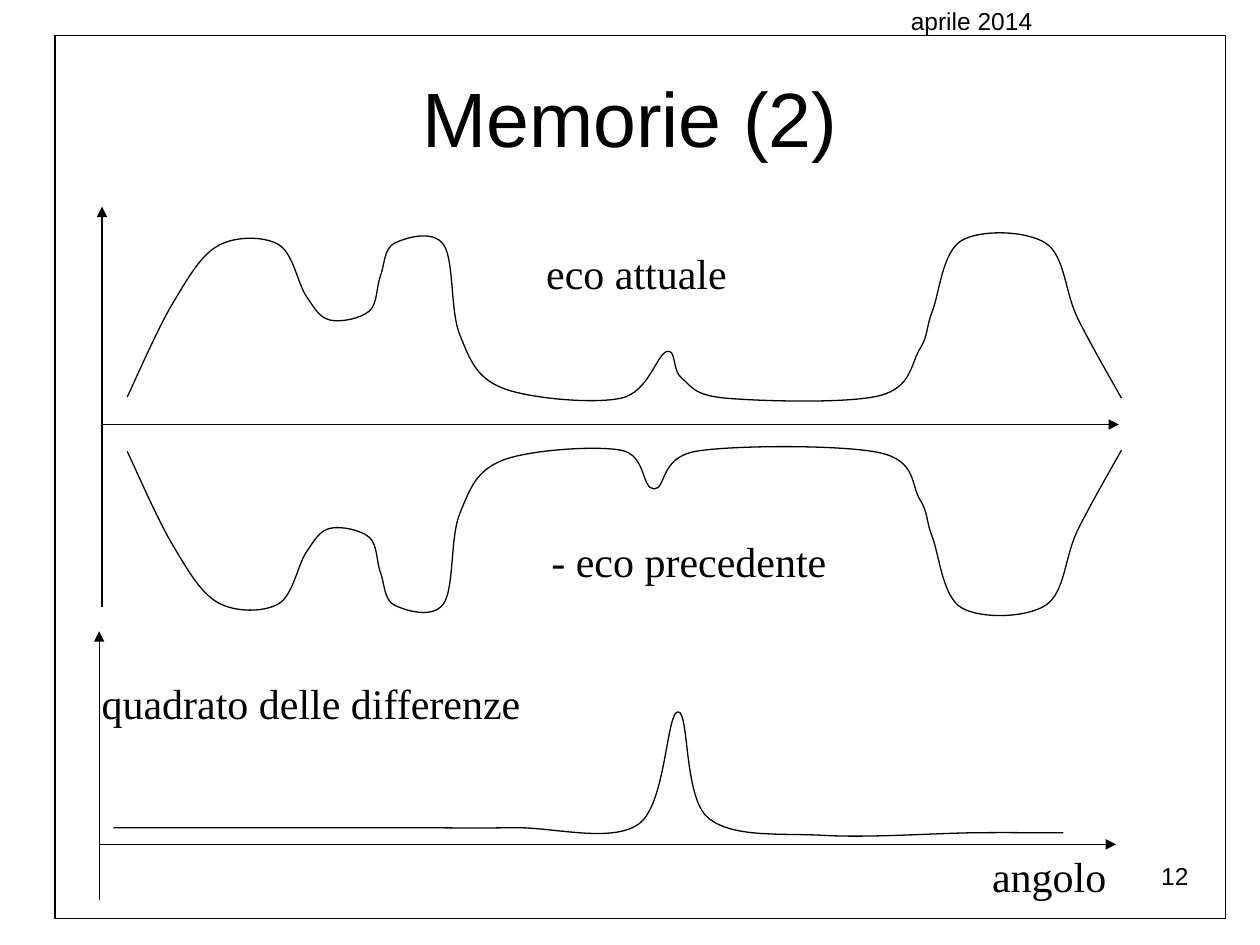
from dataclasses import dataclass

from lxml import etree
from pptx import Presentation
from pptx.dml.color import RGBColor
from pptx.enum.shapes import MSO_CONNECTOR, MSO_SHAPE
from pptx.enum.text import MSO_ANCHOR, PP_ALIGN
from pptx.oxml.ns import qn
from pptx.util import Pt

STRAIGHT = MSO_CONNECTOR.STRAIGHT
RECTANGLE = MSO_SHAPE.RECTANGLE
MIDDLE = MSO_ANCHOR.MIDDLE
LEFT, CENTER, RIGHT = PP_ALIGN.LEFT, PP_ALIGN.CENTER, PP_ALIGN.RIGHT


@dataclass(frozen=True)
class Theme:
    """Colours, fonts and sizes of the slide."""
    ink: RGBColor = RGBColor(0, 0, 0)
    sans: str = "Arial"
    serif: str = "Times New Roman"
    title: int = 44
    label: int = 24
    small: int = 14
    line: float = 0.75
    inset: float = 7.2


T = Theme()
MIRROR_SUM = 484.8

ECHO_START = [(72.7, 226.8), (98.6, 173.5), (124.6, 140.4), (159.1, 139.7),
              (175, 169.2), (188.6, 182.9), (211, 177.8), (217.4, 157.7),
              (225.4, 139), (253.4, 139.7), (262.8, 191.5), (287.3, 221.8),
              (355, 227.5)]
ECHO_END = [(502.6, 226.1), (525.6, 199.4), (532.8, 177.8), (549.4, 137.5),
            (597.6, 139), (615.6, 181.4), (640.8, 227.5)]
CURRENT_BLIP = [(380.9, 200.9), (389.5, 216), (414.7, 227.5)]
PREVIOUS_BLIP = [(373.7, 205.4), (398.2, 227)]
SQUARED = [(64.8, 473), (93.6, 473), (155.5, 473), (229.7, 473), (293.8, 473),
           (365, 470.9), (387.4, 406.8), (404.6, 467.3), (471.6, 477.4),
           (555.8, 475.9), (594, 475.9), (607.7, 475.9)]


def write(tf, text, size, font, align=LEFT):
    """Put one formatted run into a text frame."""
    tf.word_wrap = True
    p = tf.paragraphs[0]
    p.alignment = align
    r = p.add_run()
    r.text = text
    r.font.size = Pt(size)
    r.font.name = font
    r.font.color.rgb = T.ink


def place(shape, x, y, w, h):
    """Move and size a shape."""
    shape.left, shape.top, shape.width, shape.height = map(Pt, (x, y, w, h))


def add_title(s, text, box):
    """Fill the title placeholder."""
    place(s.shapes.title, *box)
    tf = s.shapes.title.text_frame
    tf.vertical_anchor = MIDDLE
    write(tf, text, T.title, T.sans, CENTER)


def add_label(s, text, box, size=T.label, font=T.serif, align=LEFT, inset=T.inset):
    """Add a text box with one line of text."""
    tf = s.shapes.add_textbox(*map(Pt, box)).text_frame
    tf.margin_left = Pt(inset)
    write(tf, text, size, font, align)


def outline(shape):
    """Leave only a thin line on a shape."""
    shape.shadow.inherit = False
    shape.fill.background()
    shape.line.color.rgb = T.ink
    shape.line.width = Pt(T.line)


def add_frame(s, box):
    """Draw the border of the slide."""
    outline(s.shapes.add_shape(RECTANGLE, *map(Pt, box)))


def add_axis(s, start, end, arrow="a:tailEnd"):
    """Draw an axis with an arrowhead at its end, or its start for a:headEnd."""
    c = s.shapes.add_connector(STRAIGHT, *map(Pt, start + end))
    c.line.color.rgb = T.ink
    c.line.width = Pt(T.line)
    sp_pr = c._element.spPr
    etree.SubElement(sp_pr.find(qn("a:ln")), qn(arrow), type="triangle")
    etree.SubElement(sp_pr, qn("a:effectLst"))


def bezier_points(knots):
    """Return two control points and an end point for each pair of knots."""
    padded = [knots[0], *knots, knots[-1]]
    points = []
    for a, b, c, d in zip(padded, padded[1:], padded[2:], padded[3:]):
        points += [(b[0] + (c[0] - a[0]) / 6, b[1] + (c[1] - a[1]) / 6),
                   (c[0] - (d[0] - b[0]) / 6, c[1] - (d[1] - b[1]) / 6), c]
    return points


def add_curve(s, knots):
    """Draw a smooth open curve of Bézier segments through the knots."""
    start, *rest = [(Pt(x), Pt(y)) for x, y in [knots[0], *bezier_points(knots)]]
    builder = s.shapes.build_freeform(*start)
    builder.add_line_segments(rest, close=False)
    shape = builder.convert_to_shape()
    outline(shape)
    lines = list(shape._element.iter(qn("a:lnTo")))
    for trio in zip(lines[::3], lines[1::3], lines[2::3]):
        curve = etree.Element(qn("a:cubicBezTo"))
        trio[0].addprevious(curve)
        for line in trio:
            curve.append(line[0])
            line.getparent().remove(line)


def mirror(knots):
    """Reflect the knots across the echo axis."""
    return [(x, MIRROR_SUM - y) for x, y in knots]


def main():
    """Build and save the slide."""
    prs = Presentation()
    prs.slide_width, prs.slide_height = Pt(720), Pt(540)
    s = prs.slides.add_slide(prs.slide_layouts[5])

    add_label(s, "12", (518.4, 488.2, 167.8, 37.4), T.small, T.sans, RIGHT)
    add_title(s, "Memorie (2)", (36, 21.6, 648, 90))
    add_frame(s, (31.5, 20.2, 668.9, 504.7))
    add_label(s, "aprile 2014", (513.4, 0, 158.4, 24.5), T.small, T.sans)

    add_axis(s, (58.3, 242.6), (639.4, 242.6))
    add_curve(s, ECHO_START + CURRENT_BLIP + ECHO_END)
    add_axis(s, (58.3, 118.1), (58.3, 347), "a:headEnd")
    add_curve(s, mirror(ECHO_START + PREVIOUS_BLIP + ECHO_END))
    add_label(s, "eco attuale", (305, 137.8, 133.2, 36))
    add_label(s, "- eco precedente", (308, 302.4, 175.7, 36))

    add_axis(s, (56.7, 360.7), (56.7, 514.1), "a:headEnd")
    add_axis(s, (56.7, 482.5), (637.8, 482.5))
    add_curve(s, SQUARED)
    add_label(s, "quadrato delle differenze", (51, 383.8, 263.5, 36))
    add_label(s, "angolo", (535.7, 482.7, 105.1, 36), inset=31.2)

    prs.save("out.pptx")


if __name__ == "__main__":
    main()
